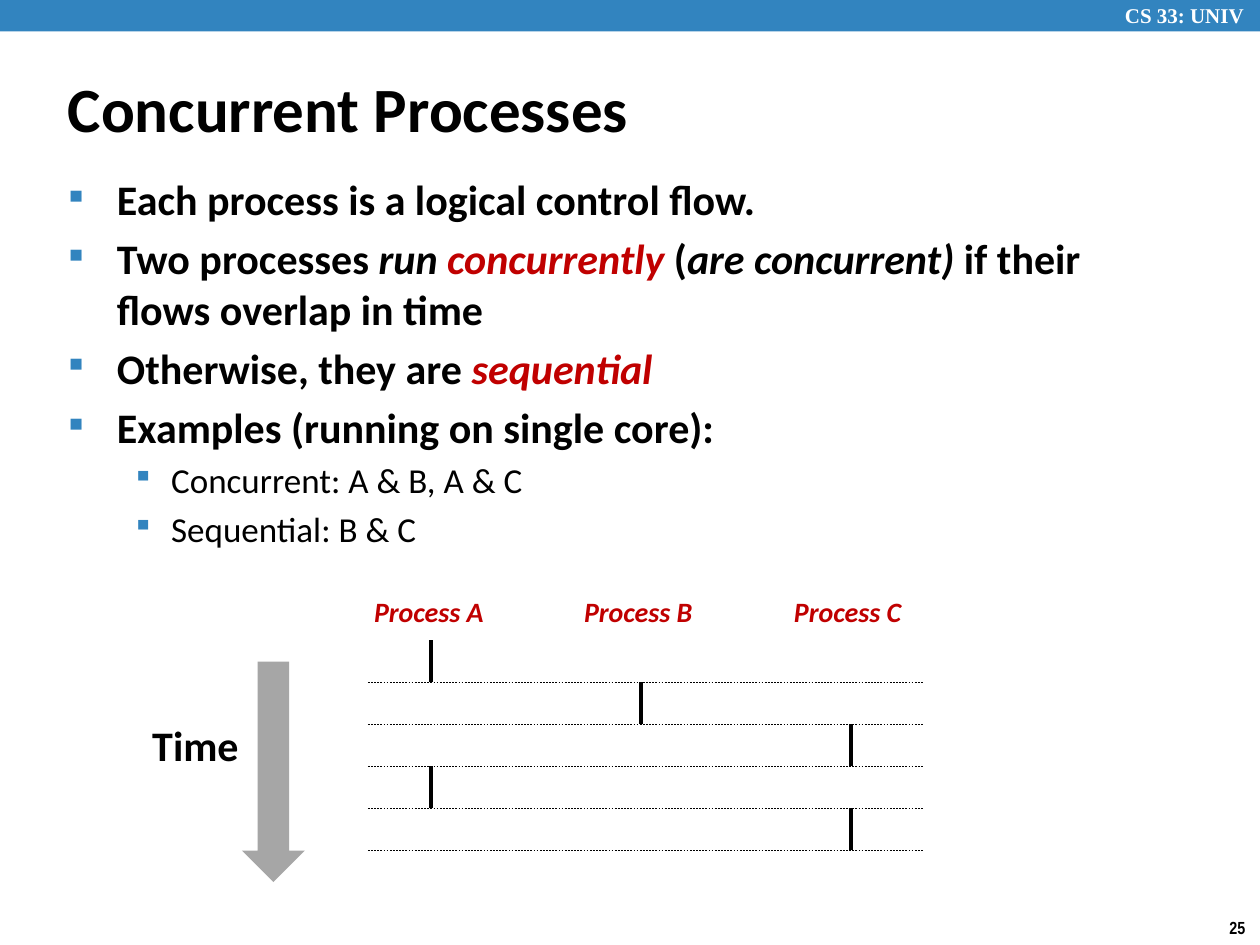
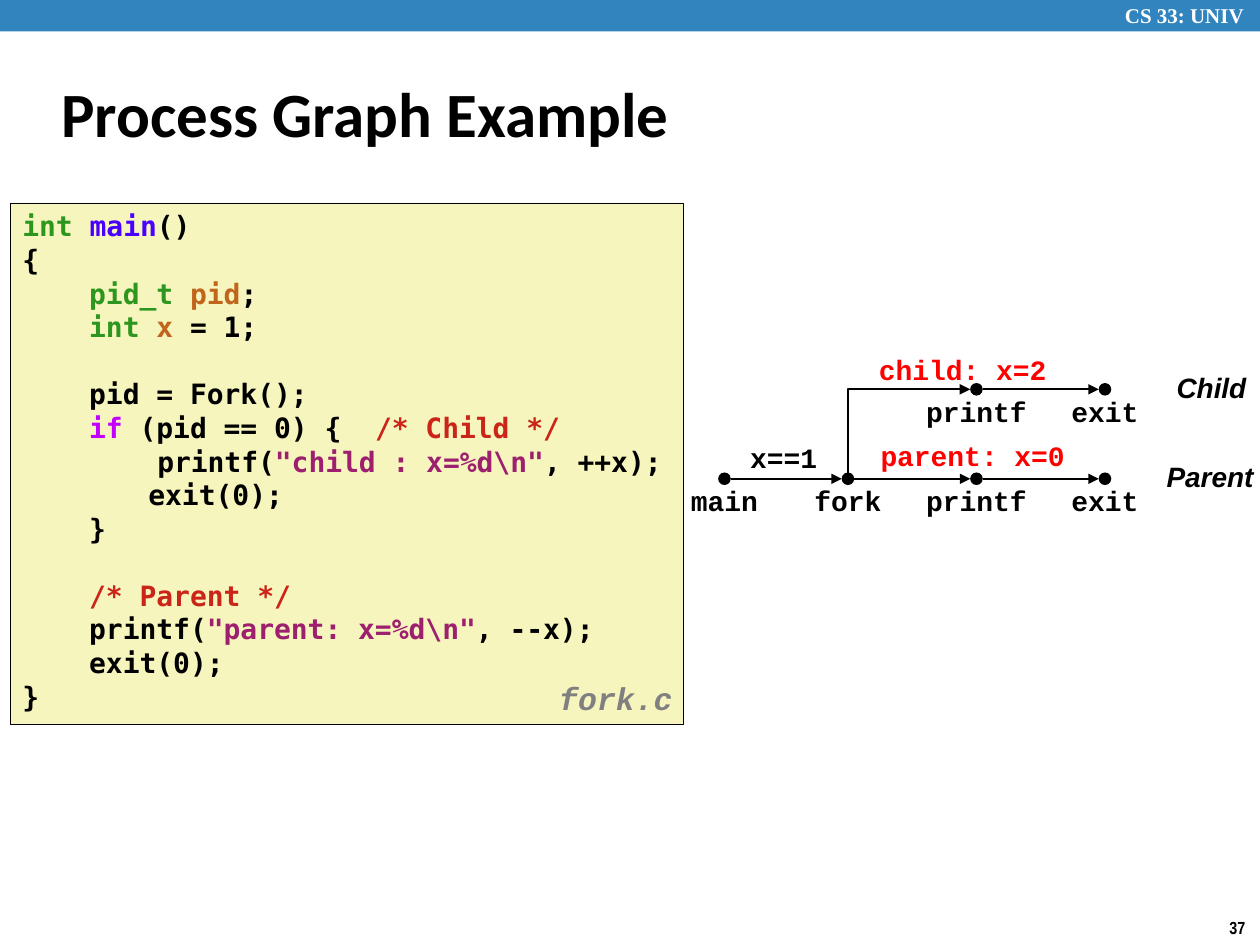
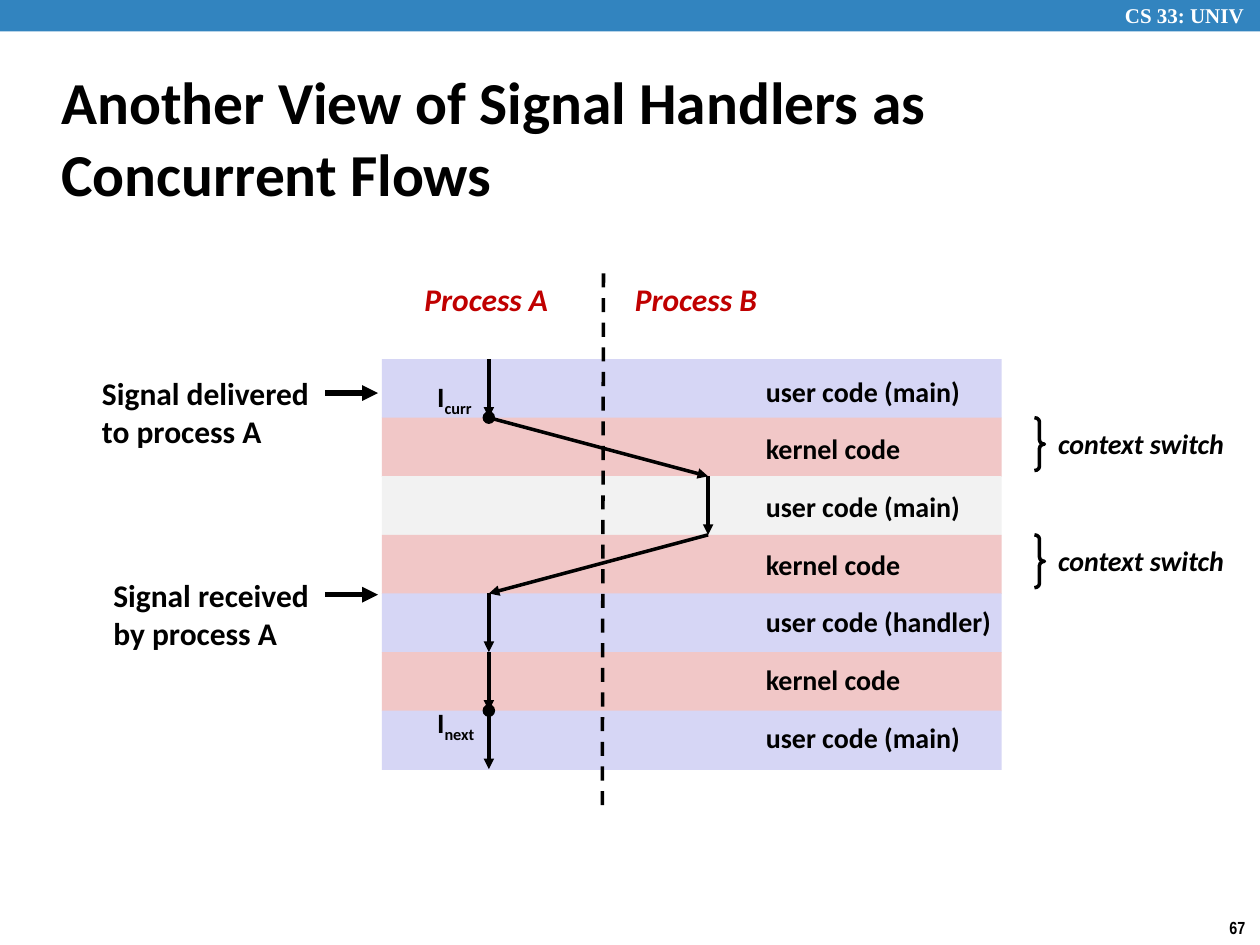
from lxml.etree import SubElement
from pptx import Presentation
from pptx.dml.color import RGBColor
from pptx.enum.dml import MSO_LINE
from pptx.enum.shapes import MSO_CONNECTOR, MSO_SHAPE
from pptx.enum.text import MSO_ANCHOR, PP_ALIGN
from pptx.oxml.ns import qn
from pptx.util import Inches, Pt

WIDTH, HEIGHT = 10, 7.5
COLORS = {
    "black": "000000", "white": "FFFFFF", "band": "3284BF", "accent": "C00000",
    "gray": "A6A6A6", "file": "808080", "paper": "F6F5BD", "value": "FF0000",
    "type": "2D961E", "function": "4A00FF", "variable": "C1651C",
    "keyword": "C200FF", "comment": "CB2418", "string": "9D206F",
    "user": "D6D6F5", "kernel": "F1C7C7", "other": "F2F2F2",
}
HEADER = "CS 33: UNIV"
MONO = "Courier New"
ITALIC = {"italic": True}
TERM = {"color": "accent", "italic": True}

BULLETS = [
    (0, ["Each process is a logical control flow."]),
    (0, ["Two processes ", ("run ", ITALIC), ("concurrently", TERM), " (",
         ("are concurrent)", ITALIC), " if their flows overlap in time"]),
    (0, ["Otherwise, they are ", ("sequential", TERM)]),
    (0, ["Examples (running on single core):"]),
    (1, ["Concurrent: A & B, A & C"]),
    (1, ["Sequential: B & C"]),
]
BULLET_LEVELS = [
    {"size": 24, "bold": True, "before": 5, "margin": 0.38, "hang": 0.38, "bullet": ("■", 45)},
    {"size": 20, "bold": False, "before": 4, "margin": 0.81, "hang": 0.31, "bullet": ("▪", 85)},
]
PROCESS_NAMES = ["Process A", "Process B", "Process C"]
RUNNING_PROCESS = [0, 1, 2, 0, 2]


def colored(text, color):
    return text, {"color": color}


CODE = [
    (0, 0, [colored("int ", "type"), colored("main", "function"), "()"]),
    (0, 0, ["{"]),
    (0.53, 0, [colored("pid_t ", "type"), colored("pid", "variable"), ";"]),
    (0.53, 0, [colored("int ", "type"), colored("x", "variable"), " = 1;"]),
    (0.53, 1, ["pid = Fork();"]),
    (0.53, 0, [colored("if", "keyword"), " (pid == 0) {  ", colored("/* Child */", "comment")]),
    (1.07, 0, ["printf(", colored('"child : x=%d\\n"', "string"), ", ++x);"]),
    (1, 0, ["exit(0);"]),
    (0.53, 0, ["}"]),
    (0.53, 1, [colored("/* Parent */", "comment")]),
    (0.53, 0, ["printf(", colored('"parent: x=%d\\n"', "string"), ", --x);"]),
    (0.53, 0, ["exit(0);"]),
    (0, 0, ["}"]),
]
CODE_LINE = 19.2
GRAPH_COLUMNS = [5.75, 6.73, 7.75, 8.77]
GRAPH_ROWS = [
    (3.09, 2, ["printf", "exit"], "Child", 9.24, 0.77),
    (3.8, 0, ["main", "fork", "printf", "exit"], "Parent", 9.16, 0.92),
]
GRAPH_VALUES = [
    ("child: x=2", 7.64, 2.75, "value"),
    ("x==1", 6.22, 3.45, "black"),
    ("parent: x=0", 7.72, 3.43, "value"),
]
BANDS = [
    ("user code (main)", "user"), ("kernel code", "kernel"),
    ("user code (main)", "other"), ("kernel code", "kernel"),
    ("user code (handler)", "user"), ("kernel code", "kernel"),
    ("user code (main)", "user"),
]
FLOW_COLUMNS = {"A": 3.88, "B": 5.62}
FLOW = "AABBAAAA"
SIGNALS = [
    (["Signal delivered", "to process A"], 0.76, 2.92),
    (["Signal received", "by process A"], 0.85, 4.52),
]
INSTRUCTIONS = [("curr", 2.96, 1), ("next", 5.55, 6)]
SWITCH_BANDS = [1, 3]


def rgb(name):
    return RGBColor.from_string(COLORS[name])


def add_text(shape, paragraphs, size=16, font="Calibri", color="black", bold=True,
             italic=False, align=PP_ALIGN.LEFT, wrap=False, anchor=MSO_ANCHOR.TOP,
             inset=0.1, formats=None):
    frame = shape.text_frame
    frame.word_wrap = wrap
    frame.vertical_anchor = anchor
    frame.margin_left = frame.margin_right = Inches(inset)
    for index, runs in enumerate(paragraphs):
        layout = formats[index] if formats else {}
        paragraph = frame.add_paragraph() if index else frame.paragraphs[0]
        paragraph.alignment = align
        paragraph.space_before = Pt(layout.get("before", 0))
        properties = paragraph._p.get_or_add_pPr()
        properties.set("marL", str(Inches(layout.get("margin", 0))))
        properties.set("indent", str(-Inches(layout.get("hang", 0))))
        if "bullet" in layout:
            symbol, percent = layout["bullet"]
            bullet_color = SubElement(properties, qn("a:buClr"))
            SubElement(bullet_color, qn("a:srgbClr"), val=COLORS["band"])
            SubElement(properties, qn("a:buSzPct"), val=str(percent * 1000))
            SubElement(properties, qn("a:buChar"), char=symbol)
        for item in [runs] if isinstance(runs, str) else runs:
            text, style = (item, {}) if isinstance(item, str) else item
            run = paragraph.add_run()
            run.text = text
            run.font.name = font
            run.font.size = Pt(layout.get("size", size))
            run.font.bold = layout.get("bold", bold)
            run.font.italic = style.get("italic", italic)
            run.font.color.rgb = rgb(style.get("color", color))
            if "baseline" in style:
                run._r.get_or_add_rPr().set("baseline", str(style["baseline"] * 1000))


def add_label(slide, text, left, top, width, height=0.37, **text_format):
    box = slide.shapes.add_textbox(Inches(left), Inches(top), Inches(width), Inches(height))
    add_text(box, [text] if isinstance(text, str) else text, **text_format)


def add_centered(slide, text, center, top, width=1.04, **text_format):
    add_label(slide, text, center - width / 2, top, width, align=PP_ALIGN.CENTER, **text_format)


def add_block(slide, kind, left, top, width, height, fill=None, line=None, weight=0.25):
    shape = slide.shapes.add_shape(kind, Inches(left), Inches(top), Inches(width), Inches(height))
    shape.shadow.inherit = False
    if fill:
        shape.fill.solid()
        shape.fill.fore_color.rgb = rgb(fill)
    else:
        shape.fill.background()
    if line:
        shape.line.color.rgb = rgb(line)
        shape.line.width = Pt(weight)
    else:
        shape.line.fill.background()
    return shape


def add_dot(slide, x, y):
    add_block(slide, MSO_SHAPE.OVAL, x - 0.05, y - 0.05, 0.1, 0.1, "black")


def add_line(slide, start, end, weight=2, dashed=False, arrow=False, kind=MSO_CONNECTOR.STRAIGHT):
    connector = slide.shapes.add_connector(kind, *[Inches(value) for value in (*start, *end)])
    connector.line.color.rgb = rgb("black")
    connector.line.width = Pt(weight)
    if dashed:
        connector.line.dash_style = MSO_LINE.DASH
    if arrow:
        SubElement(connector.line._get_or_add_ln(), qn("a:tailEnd"), type="triangle")
    SubElement(connector.element.spPr, qn("a:effectLst"))
    return connector


def add_corner_arrow(slide, start, end, weight):
    center_x, center_y = (start[0] + end[0]) / 2, (start[1] + end[1]) / 2
    half_run, half_rise = (end[0] - start[0]) / 2, (start[1] - end[1]) / 2
    connector = add_line(slide, (center_x + half_rise, center_y + half_run),
                         (center_x - half_rise, center_y - half_run),
                         weight, arrow=True, kind=MSO_CONNECTOR.ELBOW)
    properties = connector.element.spPr
    properties.find(qn("a:xfrm")).set("rot", "5400000")
    properties.find(qn("a:prstGeom")).set("prst", "bentConnector2")


def add_slide(presentation, title, number, left, top, width, height, size=36):
    slide = presentation.slides.add_slide(presentation.slide_layouts[6])
    add_block(slide, MSO_SHAPE.RECTANGLE, 0, 0, WIDTH, 0.25, "band")
    add_label(slide, HEADER, 8.83, -0.03, 1.24, 0.3, size=12, font="Times New Roman", color="white")
    add_label(slide, str(number), 9.66, 7.23, 0.34, 0.27, size=10, font="Arial Narrow")
    add_label(slide, title, left, top, width, height, size=size, wrap=True,
              anchor=MSO_ANCHOR.MIDDLE)
    return slide


def build_processes(presentation):
    slide = add_slide(presentation, "Concurrent Processes", 25, 0.44, 0.54, 6.64, 0.63)
    add_label(slide, [runs for _, runs in BULLETS], 0.45, 1.33, 8.64, 2.83, wrap=True,
              formats=[BULLET_LEVELS[level] for level, _ in BULLETS])
    column_step, row_step, first_row = 5 / 3, 1 / 3, 5.08
    for index, name in enumerate(PROCESS_NAMES):
        add_label(slide, name, 2.87 + index * column_step, 4.67, 1.09, **TERM)
    for index, process in enumerate(RUNNING_PROCESS):
        x = 3.42 + process * column_step
        top = first_row + index * row_step
        bottom = top + row_step
        add_line(slide, (x, top), (x, bottom))
        add_line(slide, (2.92, bottom), (7.33, bottom), 0.25, dashed=True)
    add_label(slide, "Time", 1.11, 5.66, 0.89, 0.5, size=24)
    add_block(slide, MSO_SHAPE.DOWN_ARROW, 1.92, 5.25, 0.5, 1.75, "gray")


def build_graph(presentation):
    slide = add_slide(presentation, "Process Graph Example", 37, 0.39, 0.48, 8.3, 0.83)
    code_box = add_block(slide, MSO_SHAPE.RECTANGLE, 0.08, 1.61, 5.34, 4.14, "paper", "black")
    add_text(code_box, [runs for _, _, runs in CODE], font="DejaVu Sans Mono",
             formats=[{"margin": margin, "before": gap * CODE_LINE} for margin, gap, _ in CODE])
    add_label(slide, "fork.c", 4.34, 5.34, 1.17, 0.39, size=18, font=MONO, color="file",
              italic=True)
    for y, first, names, branch, branch_left, branch_width in GRAPH_ROWS:
        columns = GRAPH_COLUMNS[first:]
        for x, name in zip(columns, names):
            add_dot(slide, x, y)
            add_centered(slide, name, x, y - 0.01, font=MONO)
        for x, following in zip(columns, columns[1:]):
            add_line(slide, (x + 0.05, y), (following - 0.05, y), 1, arrow=True)
        add_label(slide, branch, branch_left, y - 0.2, branch_width, font="Arial", italic=True)
    child_y, parent_y = [row[0] for row in GRAPH_ROWS]
    add_corner_arrow(slide, (GRAPH_COLUMNS[1], parent_y), (GRAPH_COLUMNS[2] - 0.05, child_y), 1)
    for text, center, top, color in GRAPH_VALUES:
        add_centered(slide, text, center, top, 2, font=MONO, color=color)


def build_signals(presentation):
    slide = add_slide(presentation, "Another View of Signal Handlers as Concurrent Flows", 67,
                      0.39, 0.67, 8.3, 0.83, size=34)
    band_tops = [2.85 + index * 0.465 for index in range(len(BANDS) + 1)]
    for index, (label, color) in enumerate(BANDS):
        add_block(slide, MSO_SHAPE.RECTANGLE, 3.03, band_tops[index], 4.92, 0.47, color)
        add_label(slide, label, 5.98, 2.92 + index * 0.458, 2.02)
    for lines, left, top in SIGNALS:
        add_label(slide, lines, left, top, 1.77, 0.71, size=18, inset=0.05)
        add_line(slide, (2.58, top + 0.2), (3, top + 0.2), 3, arrow=True)
    for name, left in zip(PROCESS_NAMES, (3.27, 4.94)):
        add_label(slide, name, left, 2.17, 1.2, 0.4, size=18, **TERM)
    add_line(slide, (4.79, 2.17), (4.78, 6.47), dashed=True)
    points = [(FLOW_COLUMNS[process], y) for process, y in zip(FLOW, band_tops)]
    for start, end in zip(points, points[1:]):
        add_line(slide, start, end, arrow=True)
    for name, top, step in INSTRUCTIONS:
        add_label(slide, [["I", (name, {"baseline": -25})]], 3.42, top, 0.44, inset=0.05)
        add_dot(slide, *points[step])
    for band in SWITCH_BANDS:
        top = band_tops[band]
        brace = add_block(slide, MSO_SHAPE.RIGHT_BRACE, 8.21, top, 0.08, 0.42,
                          line="black", weight=2)
        brace.adjustments[0] = 0.42
        add_label(slide, "context switch", 8.3, top + 0.02, 1.54, italic=True)


def main():
    presentation = Presentation()
    presentation.slide_width, presentation.slide_height = Inches(WIDTH), Inches(HEIGHT)
    build_processes(presentation)
    build_graph(presentation)
    build_signals(presentation)
    presentation.save("out.pptx")


if __name__ == "__main__":
    main()
